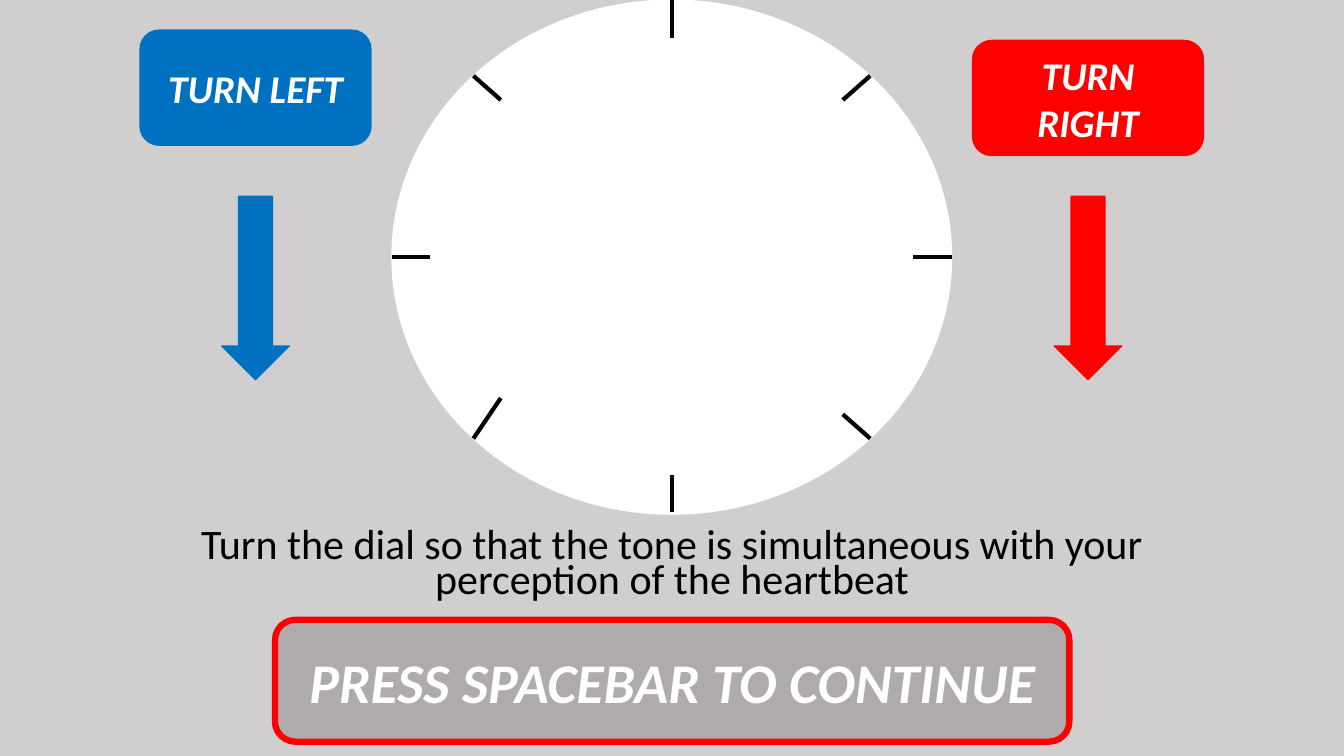
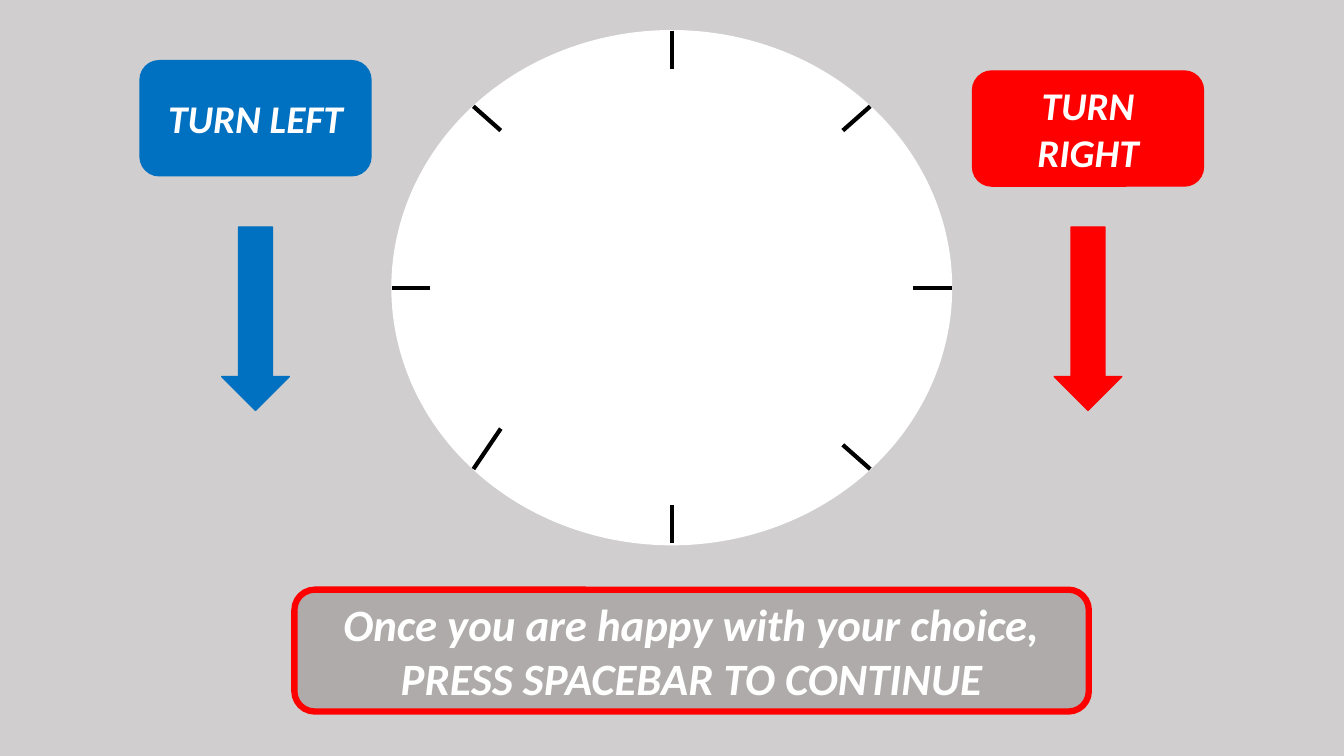
from dataclasses import dataclass

from pptx import Presentation
from pptx.dml.color import RGBColor
from pptx.enum.shapes import MSO_CONNECTOR, MSO_SHAPE
from pptx.enum.text import MSO_ANCHOR, PP_ALIGN
from pptx.oxml.ns import qn
from pptx.util import Cm, Pt
from lxml.etree import SubElement


@dataclass(frozen=True)
class Theme:
    font: str = "Calibri"
    background: str = "D0CECE"
    white: str = "FFFFFF"
    black: str = "000000"
    blue: str = "0070C0"
    red: str = "FF0000"
    grey: str = "AFABAB"
    button_size: int = 28
    instruction_size: int = 30
    thin: float = 1
    tick: float = 3
    frame: float = 4.5


THEME = Theme()

# Lengths are centimetres; "drop" moves the dial and its buttons down.
SLIDES = [
    {
        "drop": 0,
        "prompt": "PRESS SPACEBAR TO CONTINUE",
        "prompt_size": 40,
        "prompt_at": (6.93, 15.62),
        "instruction": "Turn the dial so that the tone is simultaneous "
                       "with your perception of the heartbeat",
    },
    {
        "drop": 0.77,
        "prompt": "Once you are happy with your choice, PRESS SPACEBAR TO CONTINUE",
        "prompt_size": 32,
        "prompt_at": (7.42, 14.86),
    },
]
BUTTONS = [
    ("TURN RIGHT", THEME.red, 24.51, 1.02),
    ("TURN LEFT", THEME.blue, 3.53, 0.76),
]

SLIDE_SIZE = (33.87, 19.05)
DIAL_CENTRE = (16.93, 6.48)
DIAL_SIZE = (14.1, 12.95)
BUTTON_SIZE = (5.82, 2.9)
ARROW_TOP, ARROW_SIZE = 4.95, (1.7, 4.62)
PROMPT_SIZE = (20.02, 3.07)
INSTRUCTION_BOX = (2.59, 13.16, 28.7, 2.24)

# Outer and inner end of each tick, measured from the dial's centre.
TICKS = [
    ((0, -6.48), (0, -5.51)),
    ((-5, -4.57), (-4.31, -3.96)),
    ((-7.05, 0), (-6.09, 0)),
    ((-5, 4.57), (-4.31, 3.55)),
    ((0, 6.43), (0, 5.48)),
    ((5, -4.57), (4.31, -3.96)),
    ((7.05, 0), (6.09, 0)),
    ((5, 4.57), (4.31, 3.96)),
]


def rgb(colour):
    return RGBColor.from_string(colour)


def add_figure(shapes, kind, box, fill, line=None, width=THEME.thin):
    figure = shapes.add_shape(kind, *map(Cm, box))
    figure.shadow.inherit = False
    figure.fill.solid()
    figure.fill.fore_color.rgb = rgb(fill)
    figure.line.color.rgb = rgb(line or fill)
    figure.line.width = Pt(width)
    return figure


def write(shape, text, size, colour=THEME.white, emphasis=True, spacing=None):
    """Put centred text in a shape; emphasis is bold italic."""
    frame = shape.text_frame
    frame.word_wrap = True
    frame.vertical_anchor = MSO_ANCHOR.MIDDLE
    para = frame.paragraphs[0]
    para.alignment = PP_ALIGN.CENTER
    if spacing:
        para.line_spacing = spacing
    span = para.add_run()
    span.text = text
    span.font.name = THEME.font
    span.font.size = Pt(size)
    span.font.color.rgb = rgb(colour)
    span.font.bold = span.font.italic = emphasis


def add_dial(page, drop):
    centre_x, centre_y = DIAL_CENTRE[0], DIAL_CENTRE[1] + drop
    width, height = DIAL_SIZE
    shapes = page.shapes.add_group_shape().shapes
    face = (centre_x - width / 2, centre_y - height / 2, width, height)
    add_figure(shapes, MSO_SHAPE.OVAL, face, THEME.white)
    for ends in TICKS:
        points = [Cm(value) for x, y in ends
                  for value in (centre_x + x, centre_y + y)]
        tick = shapes.add_connector(MSO_CONNECTOR.STRAIGHT, *points)
        tick.line.color.rgb = rgb(THEME.black)
        tick.line.width = Pt(THEME.tick)
        SubElement(tick._element.spPr, qn("a:effectLst"))


def add_turn(page, label, colour, left, top, drop):
    """Add a button and the arrow centred below it."""
    button = add_figure(page.shapes, MSO_SHAPE.ROUNDED_RECTANGLE,
                        (left, top + drop, *BUTTON_SIZE), colour)
    write(button, label, THEME.button_size)
    arrow_left = left + (BUTTON_SIZE[0] - ARROW_SIZE[0]) / 2
    add_figure(page.shapes, MSO_SHAPE.DOWN_ARROW,
               (arrow_left, ARROW_TOP + drop, *ARROW_SIZE), colour)


def add_page(deck, content):
    page = deck.slides.add_slide(deck.slide_layouts[6])
    page.background.fill.solid()
    page.background.fill.fore_color.rgb = rgb(THEME.background)
    add_dial(page, content["drop"])
    for button in BUTTONS:
        add_turn(page, *button, content["drop"])
    prompt = add_figure(page.shapes, MSO_SHAPE.ROUNDED_RECTANGLE,
                        (*content["prompt_at"], *PROMPT_SIZE),
                        THEME.grey, line=THEME.red, width=THEME.frame)
    write(prompt, content["prompt"], content["prompt_size"])
    if "instruction" in content:
        box = page.shapes.add_textbox(*map(Cm, INSTRUCTION_BOX))
        write(box, content["instruction"], THEME.instruction_size,
              colour=THEME.black, emphasis=False, spacing=0.7)


def main():
    deck = Presentation()
    deck.slide_width, deck.slide_height = map(Cm, SLIDE_SIZE)
    for content in SLIDES:
        add_page(deck, content)
    deck.save("out.pptx")


if __name__ == "__main__":
    main()
